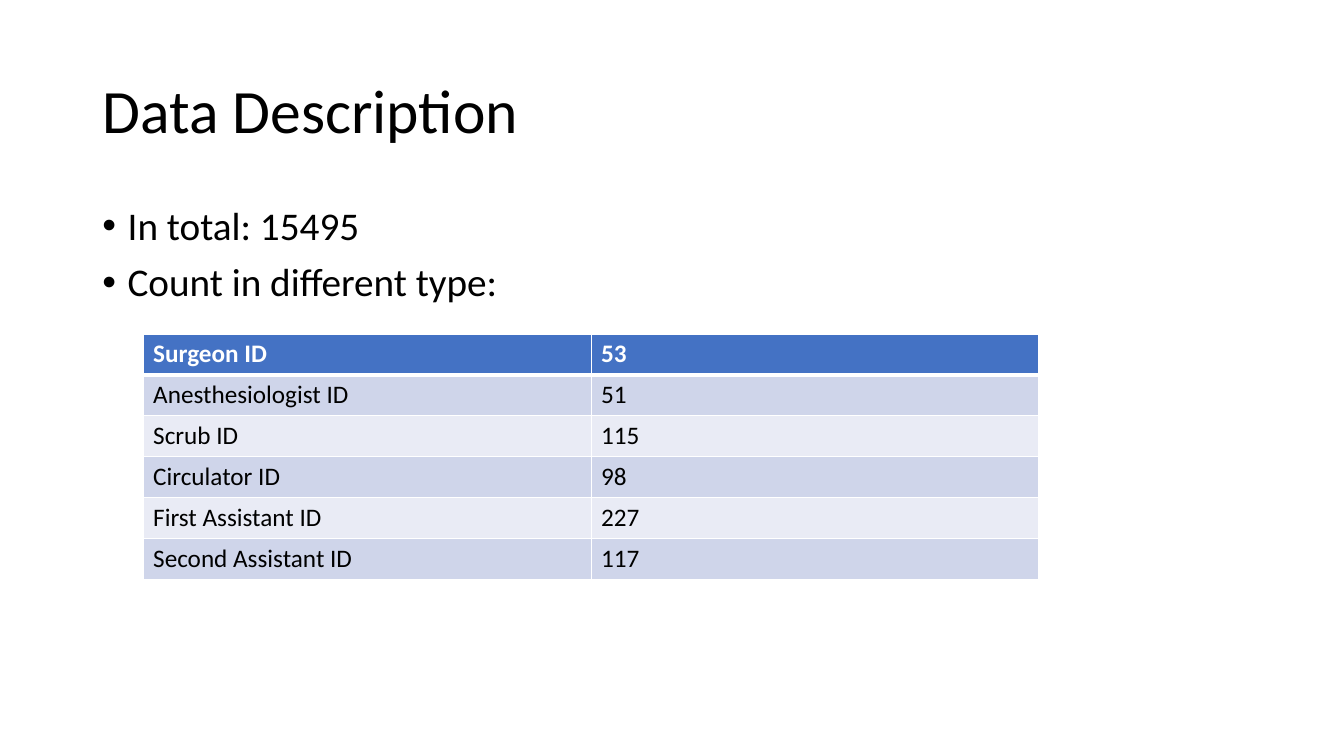
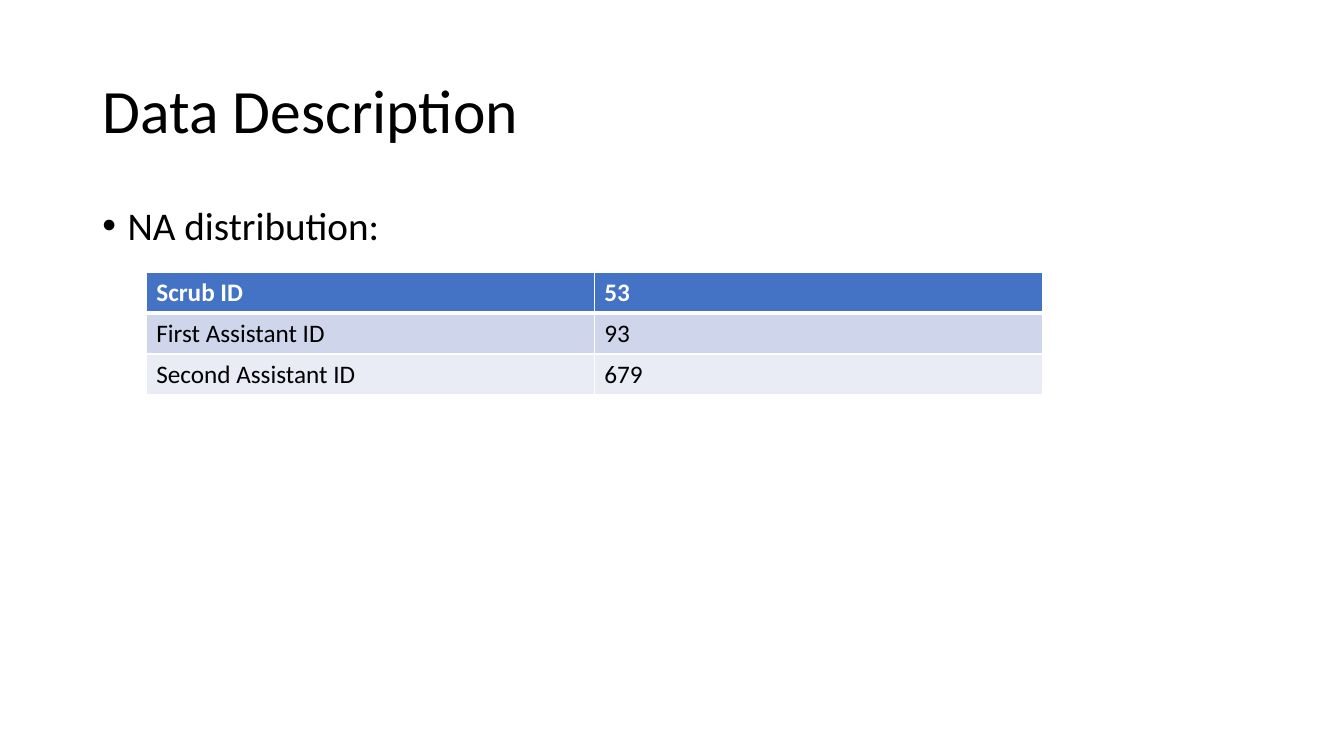
import dataclasses

import pptx
import pptx.dml.color
import pptx.enum.text
import pptx.oxml
import pptx.oxml.ns
import pptx.util

Pt = pptx.util.Pt


@dataclasses.dataclass(frozen=True)
class Theme:
    font: str = "Calibri"
    ink: str = "000000"
    paper: str = "FFFFFF"
    header: str = "4472C4"
    bands: tuple = ("CFD5EA", "E9EBF5")
    title_size: int = 44
    list_size: int = 28
    table_size: int = 18


theme = Theme()


def write(frame, lines, *, size, color=theme.ink, bold=False, spacing=1.0, before=0, indent=None):
    frame.text = "\n".join(lines)
    for paragraph in frame.paragraphs:
        paragraph.alignment = pptx.enum.text.PP_ALIGN.LEFT
        paragraph.line_spacing = spacing
        paragraph.space_before = Pt(before)
        if indent:
            properties = paragraph._p.get_or_add_pPr()
            properties.set("marL", str(Pt(indent)))
            properties.set("indent", str(-Pt(indent)))
        for run in paragraph.runs:
            run.font.name = theme.font
            run.font.size = Pt(size)
            run.font.bold = bold
            run.font.color.rgb = pptx.dml.color.RGBColor.from_string(color)


def draw_borders(cell, widths):
    for side, width in widths.items():
        cell._tc.get_or_add_tcPr().append(pptx.oxml.parse_xml(
            f'<a:ln{side} {pptx.oxml.ns.nsdecls("a")} w="{Pt(width)}"><a:solidFill>'
            f'<a:srgbClr val="{theme.paper}"/></a:solidFill></a:ln{side}>'
        ))


pages = [
    {
        "points": ["In total: 15495", "Count in different type:"],
        "corner": (102.25, 238.5),
        "counts": [
            ("Surgeon ID", "53"),
            ("Anesthesiologist ID", "51"),
            ("Scrub ID", "115"),
            ("Circulator ID", "98"),
            ("First Assistant ID", "227"),
            ("Second Assistant ID", "117"),
        ],
    },
    {
        "points": ["NA distribution:"],
        "corner": (104.5, 194.5),
        "counts": [
            ("Scrub ID", "53"),
            ("First Assistant ID", "93"),
            ("Second Assistant ID", "679"),
        ],
    },
]
column_width, row_height = 320, 29.2

deck = pptx.Presentation()
deck.slide_width, deck.slide_height = Pt(960), Pt(540)
layout = deck.slide_layouts[1]

for page in pages:
    slide = deck.slides.add_slide(layout)
    heading, points = slide.placeholders
    for placeholder, top, height in ((heading, 28.75, 104.4), (points, 144, 342.6)):
        placeholder.left, placeholder.top = Pt(66), Pt(top)
        placeholder.width, placeholder.height = Pt(828), Pt(height)
        placeholder.text_frame.auto_size = pptx.enum.text.MSO_AUTO_SIZE.NONE
    heading.text_frame.vertical_anchor = pptx.enum.text.MSO_ANCHOR.MIDDLE
    write(heading.text_frame, ["Data Description"], size=theme.title_size, spacing=0.9)
    write(points.text_frame, page["points"], size=theme.list_size, spacing=0.9, before=10, indent=18)

    counts = page["counts"]
    left, top = page["corner"]
    table = slide.shapes.add_table(
        len(counts), 2, Pt(left), Pt(top), Pt(2 * column_width), Pt(len(counts) * row_height)
    ).table
    for row_index, entry in enumerate(counts):
        is_header = row_index == 0
        fill = theme.header if is_header else theme.bands[(row_index - 1) % 2]
        for column_index, value in enumerate(entry):
            cell = table.cell(row_index, column_index)
            write(cell.text_frame, [value], size=theme.table_size, bold=is_header,
                  color=theme.paper if is_header else theme.ink)
            draw_borders(cell, {"L": 1, "R": 1, "T": 3 if row_index == 1 else 1, "B": 3 if is_header else 1})
            cell.fill.solid()
            cell.fill.fore_color.rgb = pptx.dml.color.RGBColor.from_string(fill)

deck.save("out.pptx")
